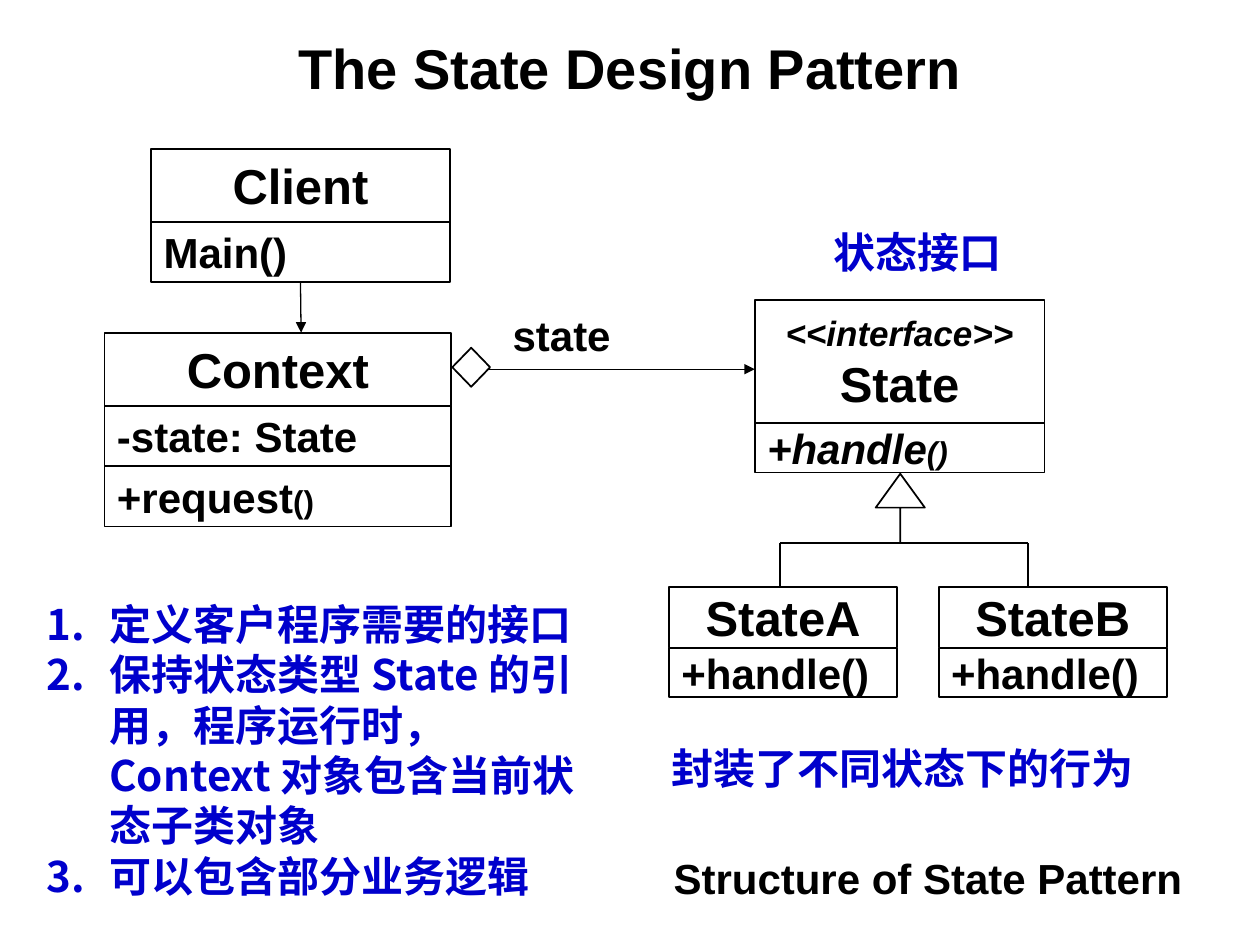
from lxml import etree
from pptx import Presentation
from pptx.dml.color import RGBColor
from pptx.enum import shapes, text
from pptx.oxml import ns
from pptx.util import Inches, Pt

BLACK = RGBColor(0, 0, 0)
WHITE = RGBColor(255, 255, 255)
BLUE = RGBColor(0, 0, 0xCC)
LATIN = "Arial"
CHINESE = "Noto Sans CJK SC"
CENTER = text.PP_ALIGN.CENTER
LEFT = text.PP_ALIGN.LEFT

TITLE = "The State Design Pattern"
CAPTION = "Structure of State Pattern"
ROLES = [
    "定义客户程序需要的接口",
    "保持状态类型State的引用，程序运行时，Context对象包含当前状态子类对象",
    "可以包含部分业务逻辑",
]
NOTES = [
    ("封装了不同状态下的行为", (5.08, 5.84, 4.17, 0.5)),
    ("状态接口", (6.11, 1.75, 2.35, 0.5)),
]

# A run is (text, size, italic); a compartment is (height, alignment, paragraphs).
def heading(name, height):
    return height, CENTER, [[(name, 28, False)]]


def member(name, height):
    return height, LEFT, [[(name, 24, False)]]


CLASSES = {
    "State": (5.99, 2.38, 2.3, [
        (0.98, CENTER, [[("<<interface>>", 20, True)], [("State", 28, False)]]),
        (0.39, LEFT, [[("+handle", 24, True), ("()", 18, True)]]),
    ]),
    "StateA": (5.31, 4.66, 1.81, [heading("StateA", 0.48), member("+handle()", 0.39)]),
    "StateB": (7.45, 4.66, 1.81, [heading("StateB", 0.48), member("+handle()", 0.39)]),
    "Client": (1.2, 1.18, 2.37, [heading("Client", 0.58), member("Main()", 0.48)]),
    "Context": (0.83, 2.64, 2.75, [
        heading("Context", 0.58),
        member("-state: State", 0.48),
        (0.48, LEFT, [[("+request", 24, False), ("()", 18, False)]]),
    ]),
}
INHERITANCE = [
    ((6.19, 4.31), (8.16, 4.31)),
    ((6.19, 4.31), (6.19, 4.66)),
    ((8.16, 4.31), (8.16, 4.66)),
]

prs = Presentation()
prs.slide_width, prs.slide_height = Inches(10), Inches(7.5)
slide = prs.slides.add_slide(prs.slide_layouts[6])


def write(frame, paragraphs, font=LATIN, color=BLACK, align=LEFT,
          anchor=text.MSO_ANCHOR.TOP, inset=0.1, spacing=None, numbered=False):
    frame.word_wrap = True
    frame.vertical_anchor = anchor
    frame.margin_left = frame.margin_right = Inches(inset)
    frame.margin_top = frame.margin_bottom = Inches(0.05)
    for index, runs in enumerate(paragraphs):
        paragraph = frame.add_paragraph() if index else frame.paragraphs[0]
        paragraph.alignment = align
        if spacing:
            paragraph.line_spacing = Pt(spacing)
        if numbered:
            props = paragraph._p.get_or_add_pPr()
            props.set("marL", str(Inches(0.5)))
            props.set("indent", str(-Inches(0.5)))
            etree.SubElement(props, ns.qn("a:buFont"), typeface=font)
            etree.SubElement(props, ns.qn("a:buAutoNum"), type="arabicPeriod")
        for content, size, italic in runs:
            run = paragraph.add_run()
            run.text = content
            run.font.name, run.font.size = font, Pt(size)
            run.font.bold, run.font.italic = True, italic
            run.font.color.rgb = color
            etree.SubElement(run._r.get_or_add_rPr(), ns.qn("a:ea"), typeface=font)


def label(paragraphs, box, size=24, **fmt):
    frame = slide.shapes.add_textbox(*map(Inches, box)).text_frame
    write(frame, [[(content, size, False)] for content in paragraphs], **fmt)


def outline(kind, box):
    shape = slide.shapes.add_shape(kind, *map(Inches, box))
    shape.shadow.inherit = False
    shape.fill.solid()
    shape.fill.fore_color.rgb = WHITE
    shape.line.color.rgb = BLACK
    shape.line.width = Pt(1)
    return shape


def connect(start, end, width=1, arrow=False):
    line = slide.shapes.add_connector(
        shapes.MSO_CONNECTOR.STRAIGHT, *map(Inches, start + end))
    line.line.color.rgb = BLACK
    line.line.width = Pt(width)
    if arrow:
        etree.SubElement(line.line._get_or_add_ln(), ns.qn("a:tailEnd"), type="triangle")
    etree.SubElement(line._element.spPr, ns.qn("a:effectLst"))
    return line


def class_box(left, top, width, compartments):
    parts = []
    for height, align, paragraphs in compartments:
        part = outline(shapes.MSO_SHAPE.RECTANGLE, (left, top, width, height))
        write(part.text_frame, paragraphs, align=align, anchor=text.MSO_ANCHOR.MIDDLE)
        parts.append(part)
        top += height
    return parts


label([TITLE], (0.5, 0.3, 9, 0.46), size=32, align=CENTER, anchor=text.MSO_ANCHOR.MIDDLE)
label(["state"], (3.97, 2.41, 1.2, 0.5))
label([CAPTION], (5, 6.72, 4.73, 0.5), align=CENTER)

outline(shapes.MSO_SHAPE.DIAMOND, (3.59, 2.76, 0.3, 0.31))
classes = {name: class_box(*layout) for name, layout in CLASSES.items()}

for start, end in INHERITANCE:
    connect(start, end)
generalization = outline(shapes.MSO_SHAPE.UP_ARROW, (6.95, 3.76, 0.39, 0.55))
generalization.adjustments[0] = 0
generalization.adjustments[1] = 0.69

client_link = connect((2.39, 2.24), (2.39, 2.64), width=0.75, arrow=True)
client_link.begin_connect(classes["Client"][-1], 2)
connect((3.87, 2.93), (5.99, 2.93), width=0.75, arrow=True)

for note, box in NOTES:
    label([note], box, font=CHINESE, color=BLUE, align=CENTER, inset=0, spacing=28.8)
label(ROLES, (0.27, 4.7, 4.66, 2.5), font=CHINESE, color=BLUE, spacing=28.8, numbered=True)

prs.save("out.pptx")
